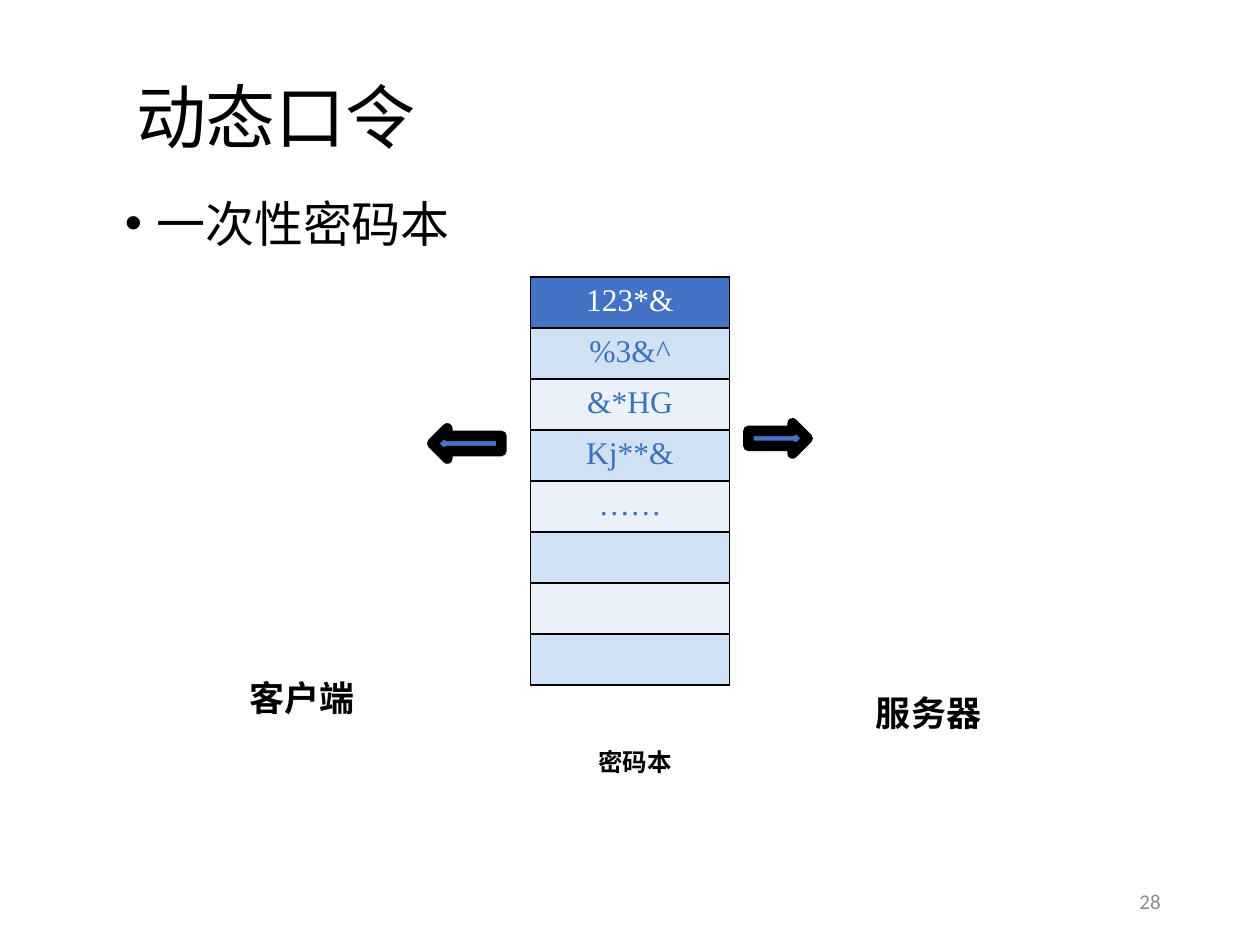
from lxml import etree
from pptx import Presentation
from pptx.dml.color import RGBColor
from pptx.enum import shapes, text
from pptx.oxml import ns
from pptx.util import Inches, Pt

COLORS = {
    "black": "000000",
    "white": "FFFFFF",
    "blue": "4472C4",
    "code": "3B71B9",
    "dark_band": "D1E1F5",
    "light_band": "EAF1FA",
    "number": "8C8C8C",
}
SERIF = "Times New Roman"
SANS = "Calibri"
PASSWORDS = ["123*&", "%3&^", "&*HG", "Kj**&", "……", "", "", ""]


def color(name):
    return RGBColor.from_string(COLORS[name])


def add_child(parent, tag, **attributes):
    return etree.SubElement(parent, ns.qn(tag), attributes)


def place(shape, left, top, width, height):
    shape.left, shape.top = Inches(left), Inches(top)
    shape.width, shape.height = Inches(width), Inches(height)


def write(para, words, size, font, ink="black", bold=False, align=text.PP_ALIGN.CENTER):
    para.alignment = align
    para.space_before = Pt(0)
    span = para.add_run()
    span.text = words
    span.font.size = Pt(size)
    span.font.name = font
    span.font.bold = bold
    span.font.color.rgb = color(ink)


def add_title(page, words):
    box = page.shapes.title
    place(box, 0.98, 0.72, 8.11, 0.47)
    frame = box.text_frame
    frame.auto_size = text.MSO_AUTO_SIZE.NONE
    frame.vertical_anchor = text.MSO_ANCHOR.MIDDLE
    para = frame.paragraphs[0]
    para.line_spacing = 0.9
    write(para, words, 40, SANS, align=text.PP_ALIGN.LEFT)


def add_bullet(page, words):
    box = page.placeholders[1]
    place(box, 0.89, 1.39, 8.51, 0.7)
    box.text_frame.auto_size = text.MSO_AUTO_SIZE.NONE
    para = box.text_frame.paragraphs[0]
    properties = para._p.get_or_add_pPr()
    properties.set("marL", str(Inches(0.25)))
    properties.set("indent", str(-Inches(0.25)))
    bullet_color = add_child(properties, "a:buClr")
    add_child(bullet_color, "a:srgbClr", val=COLORS["black"])
    add_child(properties, "a:buFont", typeface="Arial")
    add_child(properties, "a:buChar", char="•")
    para.line_spacing = 1.2
    write(para, words, 28, SANS, align=text.PP_ALIGN.JUSTIFY)


def add_label(page, words, left, top, width, height, size):
    box = page.shapes.add_textbox(*map(Inches, (left, top, width, height)))
    box.text_frame.word_wrap = True
    write(box.text_frame.paragraphs[0], words, size, SERIF, bold=True)


def add_page_number(page, number):
    box = page.shapes.add_textbox(*map(Inches, (7.06, 6.95, 2.25, 0.4)))
    box.text_frame.word_wrap = True
    box.text_frame.vertical_anchor = text.MSO_ANCHOR.MIDDLE
    write(box.text_frame.paragraphs[0], number, 12, SANS, "number", align=text.PP_ALIGN.RIGHT)


def add_borders(cell):
    properties = cell._tc.get_or_add_tcPr()
    for position, side in enumerate(("a:lnL", "a:lnR", "a:lnT", "a:lnB")):
        line = etree.Element(ns.qn(side), w=str(Pt(1)))
        fill = add_child(line, "a:solidFill")
        add_child(fill, "a:srgbClr", val=COLORS["black"])
        properties.insert(position, line)


def add_password_table(page):
    area = map(Inches, (4.21, 2.2, 1.58, 3.24))
    table = page.shapes.add_table(len(PASSWORDS), 1, *area).table
    for row, password in enumerate(PASSWORDS):
        cell = table.cell(row, 0)
        band = "dark_band" if row % 2 else "light_band"
        cell.fill.solid()
        cell.fill.fore_color.rgb = color(band if row else "blue")
        add_borders(cell)
        if password:
            ink = "code" if row else "white"
            write(cell.text_frame.paragraphs[0], password, 18, SERIF, ink)


def add_arrow(page, kind, left, top, width, height):
    arrow = page.shapes.add_shape(kind, *map(Inches, (left, top, width, height)))
    arrow.shadow.inherit = False
    arrow.fill.solid()
    arrow.fill.fore_color.rgb = color("blue")
    arrow.line.color.rgb = color("black")
    arrow.line.width = Pt(6)


def main():
    deck = Presentation()
    deck.slide_width, deck.slide_height = Inches(10), Inches(7.5)
    page = deck.slides.add_slide(deck.slide_layouts[1])
    add_title(page, "动态口令")
    add_bullet(page, "一次性密码本")
    add_label(page, "客户端", 1.14, 5.32, 2.52, 0.44, 20)
    add_label(page, "服务器", 6.11, 5.44, 2.52, 0.44, 20)
    add_password_table(page)
    add_arrow(page, shapes.MSO_SHAPE.RIGHT_ARROW, 5.94, 3.36, 0.47, 0.24)
    add_arrow(page, shapes.MSO_SHAPE.LEFT_ARROW, 3.43, 3.4, 0.55, 0.24)
    add_label(page, "密码本", 4.29, 5.88, 1.5, 0.34, 14)
    add_page_number(page, "28")
    deck.save("out.pptx")


if __name__ == "__main__":
    main()
